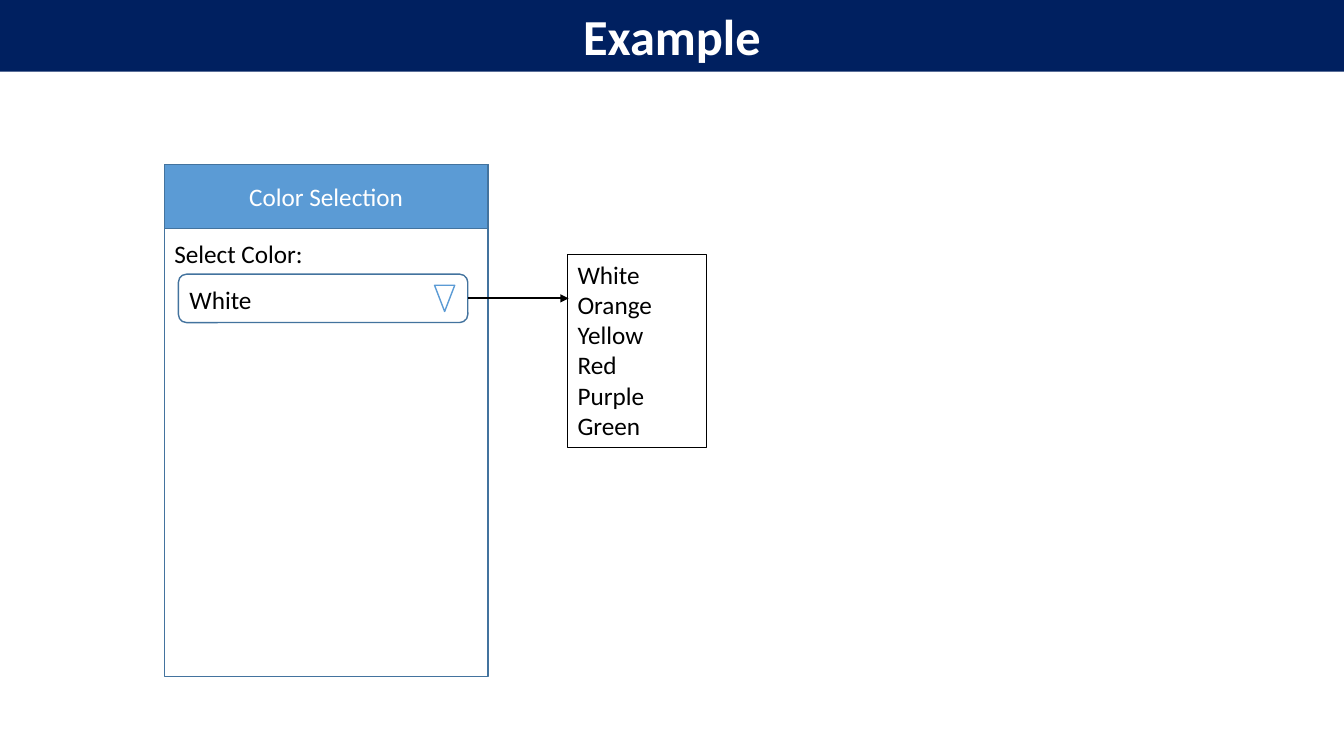
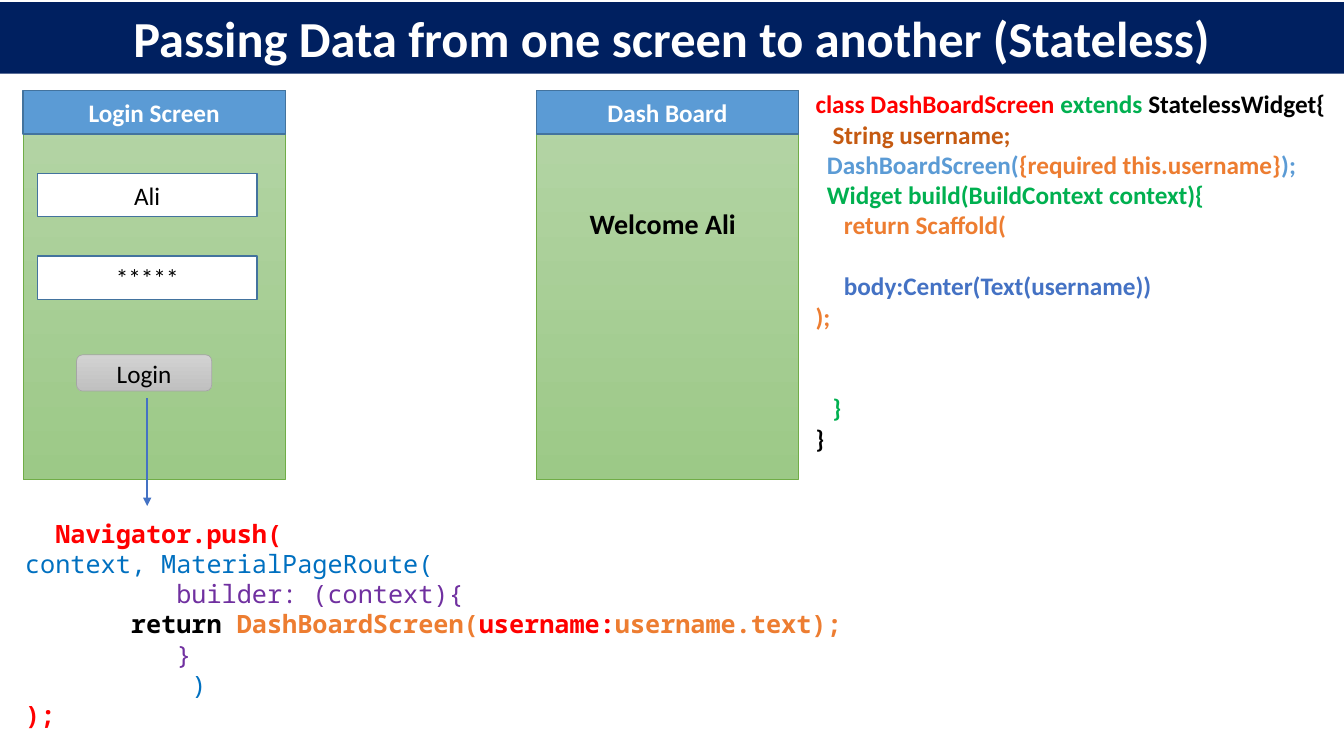
from typing import NamedTuple

from lxml import etree
from pptx import Presentation
from pptx.dml import color
from pptx.enum import shapes, text
from pptx.oxml import ns
from pptx.util import Inches, Pt

NAVY, BLUE, EDGE = "002060", "5B9BD5", "43739E"
WHITE, BLACK, RED = "FFFFFF", "000000", "FF0000"
GREEN, ORANGE, PURPLE = "00B050", "ED7D31", "7030A0"
INDIGO, SKY, RUST = "4472C4", "0070C0", "C55A11"
LEAF, GRASS = ("B5D5A7", "9CC987"), "70AD47"
STEEL, GRAY = ("D2D2D2", "C0C0C0"), "A5A5A5"
SANS, MONO = "Calibri", "Noto Sans Mono"
LINE = 22  # height in points of one 18 pt line

RECT = shapes.MSO_SHAPE.RECTANGLE
ROUND = shapes.MSO_SHAPE.ROUNDED_RECTANGLE
LEFT, MID = text.PP_ALIGN.LEFT, text.PP_ALIGN.CENTER


class Box(NamedTuple):
    x: float
    y: float
    w: float
    h: float

    def emu(self) -> list:
        return [Inches(v) for v in self]


class Run(NamedTuple):
    text: str
    color: str = BLACK
    bold: bool = False


class Row(NamedTuple):
    runs: list[Run]
    gap: int = 0  # blank lines above


class Look(NamedTuple):
    fill: str | tuple | None = WHITE
    line: str = EDGE
    width: float = 1


class Field(NamedTuple):
    label: str
    box: Box
    kind: int = RECT
    look: Look = Look()


PHONE = Look(LEAF, GRASS, 0.5)
BAR = Look(BLUE)


def rgb(code: str) -> color.RGBColor:
    return color.RGBColor.from_string(code)


def write(frame, rows: list[Row], size: float = 18, font: str = SANS,
          align=LEFT, anchor=text.MSO_ANCHOR.TOP, wrap: bool = True) -> None:
    frame.auto_size = text.MSO_AUTO_SIZE.NONE
    frame.word_wrap = wrap
    frame.vertical_anchor = anchor
    for n, row in enumerate(rows):
        para = frame.add_paragraph() if n else frame.paragraphs[0]
        para.alignment = align
        if row.gap:
            para.space_before = Pt(row.gap * LINE)
        for part in row.runs:
            run = para.add_run()
            run.text = part.text
            run.font.name, run.font.size = font, Pt(size)
            run.font.bold = part.bold
            run.font.color.rgb = rgb(part.color)


def paint(shape, look: Look) -> None:
    """Fill with one colour, a top-to-bottom gradient, or nothing."""
    if look.fill is None:
        shape.fill.background()
    elif isinstance(look.fill, str):
        shape.fill.solid()
        shape.fill.fore_color.rgb = rgb(look.fill)
    else:
        shape.fill.gradient()
        shape.fill.gradient_angle = 270
        for stop, code in zip(shape.fill.gradient_stops, look.fill):
            stop.color.rgb = rgb(code)
    shape.line.color.rgb = rgb(look.line)
    shape.line.width = Pt(look.width)


def draw(tree, box: Box, look: Look, kind=RECT, label: Run | None = None):
    shape = tree.add_shape(kind, *box.emu())
    shape.shadow.inherit = False
    paint(shape, look)
    if label:
        write(shape.text_frame, [Row([label])], align=MID,
              anchor=text.MSO_ANCHOR.MIDDLE)
    return shape


def note(tree, box: Box, rows: list[Row], **style) -> None:
    write(tree.add_textbox(*box.emu()).text_frame, rows, **style)


def arrow(tree, x: float, y: float, dx: float, dy: float, code: str) -> None:
    ends = [Inches(v) for v in (x, y, x + dx, y + dy)]
    link = tree.add_connector(shapes.MSO_CONNECTOR.STRAIGHT, *ends)
    link.line.color.rgb = rgb(code)
    link.line.width = Pt(1.5)
    edge = link.line._get_or_add_ln()
    etree.SubElement(edge, ns.qn("a:tailEnd"), type="triangle")
    etree.SubElement(link._element.spPr, ns.qn("a:effectLst"))


def start(deck, title: str, top: float = 0):
    """Add a slide with its title in the navy band; return its shapes."""
    tree = deck.slides.add_slide(deck.slide_layouts[5]).shapes
    band = tree.title
    band.left, band.top, band.width, band.height = Box(0, top, 13.33, 0.71).emu()
    band.fill.solid()
    band.fill.fore_color.rgb = rgb(NAVY)
    write(band.text_frame, [Row([Run(title, WHITE, True)])], 36, align=MID)
    return tree


def screen(tree, x: float, title: str):
    """Add a grouped phone screen with a header; return the group's shapes."""
    group = tree.add_group_shape().shapes
    draw(group, Box(x, 0.9, 2.6, 3.86), PHONE)
    draw(group, Box(x, 0.9, 2.6, 0.43), BAR, label=Run(title, WHITE, True))
    return group


COLORS = ["White", "Orange", "Yellow", "Red", "Purple", "Green"]

FIELDS = [
    Field("Ali", Box(0.37, 1.72, 2.18, 0.43)),
    Field("*****", Box(0.37, 2.54, 2.18, 0.43)),
    Field("Login", Box(0.76, 3.52, 1.34, 0.36), ROUND, Look(STEEL, GRAY, 0.5)),
]

PUSH = [
    Row([Run("  Navigator.push(", RED, True)]),
    Row([Run("context, MaterialPageRoute(", SKY)]),
    Row([Run("          builder: (context){", PURPLE)]),
    Row([Run("       return ", BLACK, True),
         Run("DashBoardScreen(", ORANGE, True),
         Run("username:", RED, True),
         Run("username.text);", ORANGE, True)]),
    Row([Run("          }", PURPLE)]),
    Row([Run("           )", SKY)]),
    Row([Run(");", RED, True)]),
]

WIDGET = [
    Row([Run("class DashBoardScreen ", RED, True),
         Run("extends ", GREEN, True),
         Run("StatelessWidget{", BLACK, True)]),
    Row([Run("   String username;", RUST, True)]),
    Row([Run("  DashBoardScreen(", BLUE, True),
         Run("{required this.username}", ORANGE, True),
         Run(");", BLUE, True)]),
    Row([Run("  Widget build(BuildContext context){", GREEN, True)]),
    Row([Run("     return Scaffold(", ORANGE, True)]),
    Row([Run("     body:Center(Text(username))", INDIGO, True)], gap=1),
    Row([Run(");", ORANGE, True)]),
    Row([Run("   }", GREEN, True)], gap=2),
    Row([Run("}", BLACK, True)]),
]


def picker(deck) -> None:
    tree = start(deck, "Example")
    draw(tree, Box(1.63, 1.63, 3.21, 5.08), Look())
    draw(tree, Box(1.63, 1.63, 3.21, 0.64), BAR,
         label=Run("Color Selection", WHITE))
    note(tree, Box(1.63, 2.32, 1.55, 0.4), [Row([Run("Select Color:")])])
    draw(tree, Box(1.77, 2.72, 2.87, 0.48), Look(None), ROUND)
    mark = draw(tree, Box(4.31, 2.83, 0.2, 0.26), Look(WHITE, BLUE),
                shapes.MSO_SHAPE.ISOSCELES_TRIANGLE)
    mark.rotation = 180
    note(tree, Box(1.78, 2.77, 1.55, 0.4), [Row([Run(COLORS[0])])])
    arrow(tree, 4.64, 2.96, 1, 0, BLACK)
    menu = draw(tree, Box(5.63, 2.52, 1.38, 1.92), Look(None, BLACK, 0.75))
    write(menu.text_frame, [Row([Run(name)]) for name in COLORS])


def passing(deck) -> None:
    tree = start(deck, "Passing Data from one screen to another (Stateless)", 0.02)
    login = screen(tree, 0.23, "Login Screen")
    for field in FIELDS:
        draw(login, field.box, field.look, field.kind, Run(field.label))
    board = screen(tree, 5.32, "Dash Board")
    note(board, Box(5.75, 2, 1.9, 0.44),
         [Row([Run("Welcome Ali", BLACK, True)])], size=20)
    arrow(tree, 1.46, 3.95, 0, 1.07, INDIGO)
    note(tree, Box(0.15, 5.09, 8.49, 2.22), PUSH, font=MONO)
    note(tree, Box(7.99, 0.83, 5.29, 3.74), WIDGET, wrap=False)


def main() -> None:
    deck = Presentation()
    deck.slide_width, deck.slide_height = Inches(13.33), Inches(7.5)
    picker(deck)
    passing(deck)
    deck.save("out.pptx")


if __name__ == "__main__":
    main()
